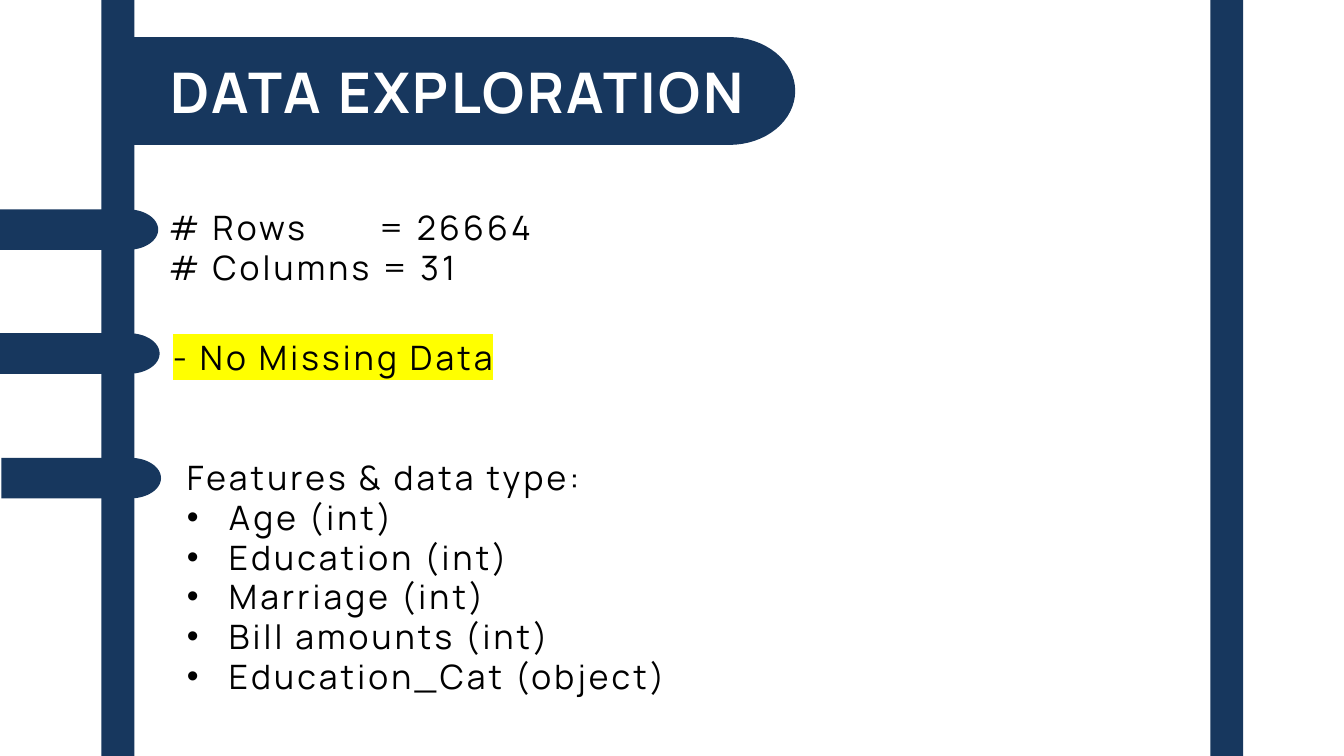
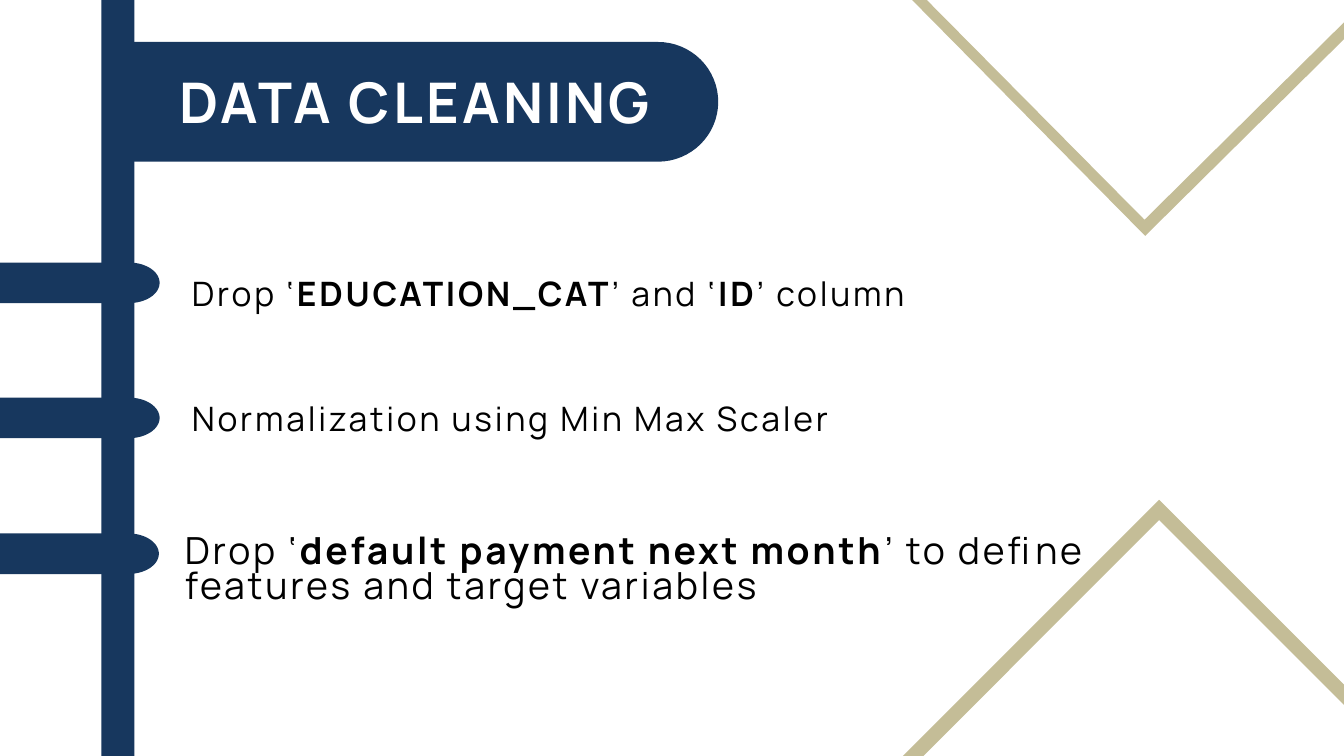
import math

from lxml import etree
from pptx import Presentation
from pptx.dml.color import RGBColor
from pptx.enum.shapes import MSO_SHAPE
from pptx.enum.text import MSO_ANCHOR, MSO_AUTO_SIZE, PP_ALIGN
from pptx.oxml.ns import qn
from pptx.util import Emu, Pt

RECTANGLE = MSO_SHAPE.RECTANGLE
TOP = MSO_ANCHOR.TOP
GROW = MSO_AUTO_SIZE.SHAPE_TO_FIT_TEXT
CENTER = PP_ALIGN.CENTER
LEFT = PP_ALIGN.LEFT

EMU_PER_PX = 9525
SLIDE_WIDTH, SLIDE_HEIGHT = 1920, 1080
TITLE_ONLY = 5
ARC_STEPS = 32


def px(length):
    return Emu(round(length * EMU_PER_PX))


def color(hex_string):
    return RGBColor.from_string(hex_string)


class SlideWriter:
    FONT = "Manrope"
    NAVY = "17375E"
    SAND = "C4BD97"
    INK = "000000"
    WHITE = "FFFFFF"
    MARKER = "FFFF00"
    BAR_LEFT, BAR_WIDTH = 145, 47
    TAB_HEIGHT, TAB_RADIUS = 58, 44
    BULLET_INDENT = 60

    def __init__(self, deck):
        self.deck = deck
        self.page = None

    def new_page(self):
        self.page = self.deck.slides.add_slide(self.deck.slide_layouts[TITLE_ONLY])
        self.bar(self.BAR_LEFT)

    def paint(self, shape, fill):
        shape.shadow.inherit = False
        shape.fill.solid()
        shape.fill.fore_color.rgb = color(fill)
        shape.line.fill.background()

    def bar(self, left):
        shape = self.page.shapes.add_shape(
            RECTANGLE, px(left), 0, px(self.BAR_WIDTH), px(SLIDE_HEIGHT))
        self.paint(shape, self.NAVY)

    def outline(self, points, fill):
        start, *rest = [(px(x), px(y)) for x, y in points]
        builder = self.page.shapes.build_freeform(*start)
        builder.add_line_segments(rest, close=True)
        self.paint(builder.convert_to_shape(), fill)

    def rounded_end(self, left, top, right, height, radius):
        points = [(left, top)]
        for step in range(ARC_STEPS + 1):
            angle = math.pi * (step / ARC_STEPS - 0.5)
            points.append((right - radius + radius * math.cos(angle),
                           top + height / 2 * (1 + math.sin(angle))))
        points.append((left, top + height))
        self.outline(points, self.NAVY)

    def tab(self, top, right, left=0):
        self.rounded_end(left, top, right, self.TAB_HEIGHT, self.TAB_RADIUS)

    def chevron(self, outer, inner):
        self.outline(outer + inner[::-1], self.SAND)

    def title(self, text, banner, place, leading, spacing):
        self.rounded_end(*banner)
        box = self.page.shapes.title
        box.element.getparent().append(box.element)
        box.left, box.top, box.width, box.height = map(px, place)
        self.frame(box, 0, 0)
        para = box.text_frame.paragraphs[0]
        self.format_para(para, CENTER, leading)
        self.span(para, text, 60, self.WHITE, spacing, bold=True)

    def frame(self, box, side, edge):
        frame = box.text_frame
        frame.word_wrap = True
        frame.auto_size = GROW
        frame.vertical_anchor = TOP
        frame.margin_left = frame.margin_right = px(side)
        frame.margin_top = frame.margin_bottom = px(edge)

    def format_para(self, para, align, leading):
        para.alignment = align
        if leading:
            para.line_spacing = Pt(leading)

    def span(self, para, text, size, ink, spacing, bold=False, marker=None):
        span = para.add_run()
        span.text = text
        span.font.name = self.FONT
        span.font.size = Pt(size)
        span.font.bold = bold
        span.font.color.rgb = color(ink)
        properties = span._r.get_or_add_rPr()
        properties.set("spc", str(round(spacing * 100)))
        if marker:
            highlight = etree.Element(qn("a:highlight"))
            etree.SubElement(highlight, qn("a:srgbClr"), val=marker)
            properties.find(qn("a:solidFill")).addnext(highlight)

    def bullet(self, para):
        properties = para._p.get_or_add_pPr()
        indent = px(self.BULLET_INDENT)
        properties.set("marL", str(indent))
        properties.set("indent", str(-indent))
        etree.SubElement(properties, qn("a:buFont"), typeface="Arial")
        etree.SubElement(properties, qn("a:buChar"), char="•")

    def tab_stop(self, para, position):
        stops = etree.SubElement(para._p.get_or_add_pPr(), qn("a:tabLst"))
        etree.SubElement(stops, qn("a:tab"), pos=str(px(position)), algn="l")

    def text(self, place, lines, size=36, spacing=3.4, leading=None,
             insets=(0, 0), bullets_from=None, stop=None, marker=None):
        box = self.page.shapes.add_textbox(*map(px, place))
        self.frame(box, *insets)
        for index, line in enumerate(lines):
            frame = box.text_frame
            para = frame.add_paragraph() if index else frame.paragraphs[0]
            if bullets_from is not None and index >= bullets_from:
                self.bullet(para)
            if stop and "\t" in line[0]:
                self.tab_stop(para, stop)
            self.format_para(para, LEFT, leading)
            for position, part in enumerate(line):
                self.span(para, part, size, self.INK, spacing,
                          bold=position % 2 == 1, marker=marker)


def data_exploration(writer):
    writer.new_page()
    writer.bar(1729)
    writer.title("DATA EXPLORATION", (191, 53, 1136, 154, 94),
                 (195, 97, 917, 84), 60.9, 2.9)
    writer.tab(299, 226)
    writer.tab(476, 228)
    writer.tab(654, 230, left=2)
    writer.text((241, 297, 680, 116), [["# Rows\t= 26664"], ["# Columns = 31"]],
                leading=42.5, stop=300)
    writer.text((247, 482, 546, 58), [["- No Missing Data"]],
                leading=42.5, marker=writer.MARKER)
    features = ["Features & data type:", "Age (int)", "Education (int)",
                "Marriage (int)", "Bill amounts (int)", "Education_Cat (object)"]
    writer.text((267, 654, 780, 348), [[feature] for feature in features],
                leading=42.5, bullets_from=1)


def data_cleaning(writer):
    writer.new_page()
    writer.chevron([(1290, 1080), (1656, 714), (1920, 978)],
                   [(1319, 1080), (1656, 743), (1920, 1007)])
    writer.chevron([(1303, 0), (1636, 337), (1920, 56)],
                   [(1324, 0), (1635, 314), (1920, 32)])
    writer.title("DATA CLEANING", (191, 60, 1026, 171, 86),
                 (146, 99, 893, 94), 70.3, 3.4)
    for top, right in ((375, 228), (568, 228), (762, 227)):
        writer.tab(top, right)
    steps = [
        (385, ["Drop ‘", "EDUCATION_CAT", "’ and ‘", "ID", "’ column"]),
        (564, ["Normalization using Min Max Scaler"]),
    ]
    for top, step in steps:
        writer.text((264, top, 1128, 126), [step], spacing=3, insets=(10, 5))
    writer.text((264, 767, 1358, 107),
                [["Drop ‘", "default payment next month",
                  "’ to define features and target variables"]],
                size=40, spacing=3, leading=37.5)


def main():
    deck = Presentation()
    deck.slide_width, deck.slide_height = px(SLIDE_WIDTH), px(SLIDE_HEIGHT)
    writer = SlideWriter(deck)
    data_exploration(writer)
    data_cleaning(writer)
    deck.save("out.pptx")


if __name__ == "__main__":
    main()
